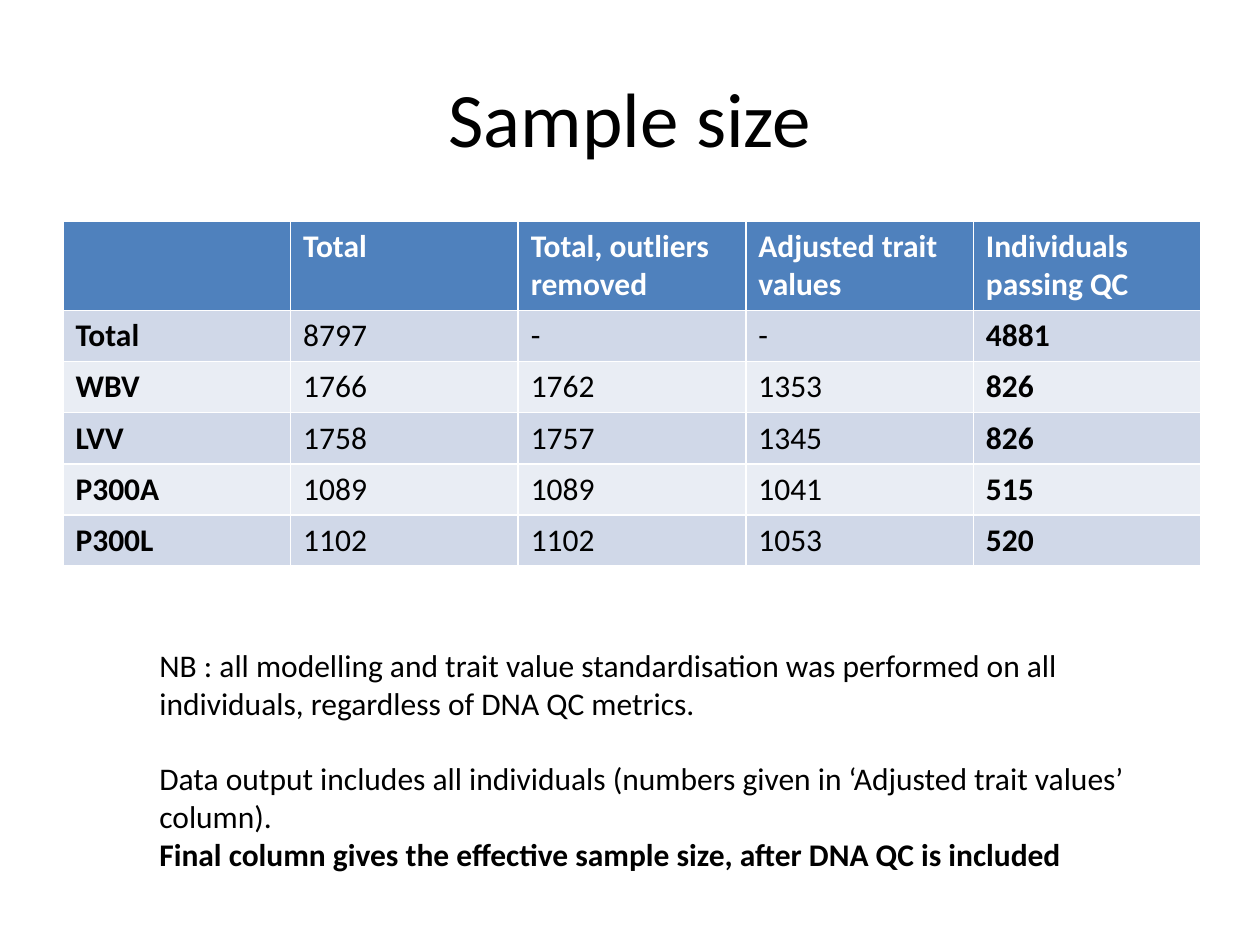
import pptx
import pptx.dml.color
import pptx.enum.text
import pptx.util

PX = 914400 // 126
COLORS = {"text": "000000", "header": "4F81BD", "header_text": "FFFFFF",
          "odd_row": "D0D8E8", "even_row": "E9EDF4"}


def px(*lengths):
    """Turn pixel lengths into a list of EMU lengths."""
    return [pptx.util.Emu(length * PX) for length in lengths]


def write(paragraph, text, size=18, color="text", bold=False):
    """Put one formatted run of text into a paragraph."""
    run = paragraph.add_run()
    run.text = text
    for key, value in {"name": "Calibri", "size": pptx.util.Pt(size), "bold": bold}.items():
        setattr(run.font, key, value)
    run.font.color.rgb = pptx.dml.color.RGBColor.from_string(COLORS[color])


deck = pptx.Presentation()
deck.slide_width, deck.slide_height = px(1260, 945)
slide = deck.slides.add_slide(deck.slide_layouts[5])

# Title
title = slide.shapes.title
title.left, title.top, title.width, title.height = px(63, 38, 1134, 157)
title.text_frame.vertical_anchor = pptx.enum.text.MSO_ANCHOR.MIDDLE
heading = title.text_frame.paragraphs[0]
heading.alignment = pptx.enum.text.PP_ALIGN.CENTER
write(heading, "Sample size", size=44)

# Sample counts
sample_rows = [
    ["", "Total", "Total, outliers removed", "Adjusted trait values", "Individuals passing QC"],
    ["Total", "8797", "-", "-", "4881"],
    ["WBV", "1766", "1762", "1353", "826"],
    ["LVV", "1758", "1757", "1345", "826"],
    ["P300A", "1089", "1089", "1041", "515"],
    ["P300L", "1102", "1102", "1053", "520"],
]
column_count = len(sample_rows[0])
samples = slide.shapes.add_table(len(sample_rows), column_count, *px(63, 221, 1138, 344)).table
for r, values in enumerate(sample_rows):
    is_header = r == 0
    samples.rows[r].height = px(89 if is_header else 51)[0]
    fill = "header" if is_header else "odd_row" if r % 2 else "even_row"
    for c, value in enumerate(values):
        cell = samples.cell(r, c)
        cell.fill.solid()
        cell.fill.fore_color.rgb = pptx.dml.color.RGBColor.from_string(COLORS[fill])
        if value:
            write(cell.text_frame.paragraphs[0], value,
                  color="header_text" if is_header else "text",
                  bold=is_header or c in (0, column_count - 1))

# Notes below the table: text, points of space before, bold
remarks = [
    ("NB : all modelling and trait value standardisation was performed on all "
     "individuals, regardless of DNA QC metrics.", 0, False),
    ("Data output includes all individuals (numbers given in ‘Adjusted trait values’ "
     "column).", 21.5, False),
    ("Final column gives the effective sample size, after DNA QC is included", 0, True),
]
remark_frame = slide.shapes.add_textbox(*px(147, 640, 994, 280)).text_frame
remark_frame.word_wrap = True
for i, (text, space, bold) in enumerate(remarks):
    paragraph = remark_frame.add_paragraph() if i else remark_frame.paragraphs[0]
    paragraph.space_before = pptx.util.Pt(space)
    write(paragraph, text, bold=bold)

deck.save("out.pptx")
